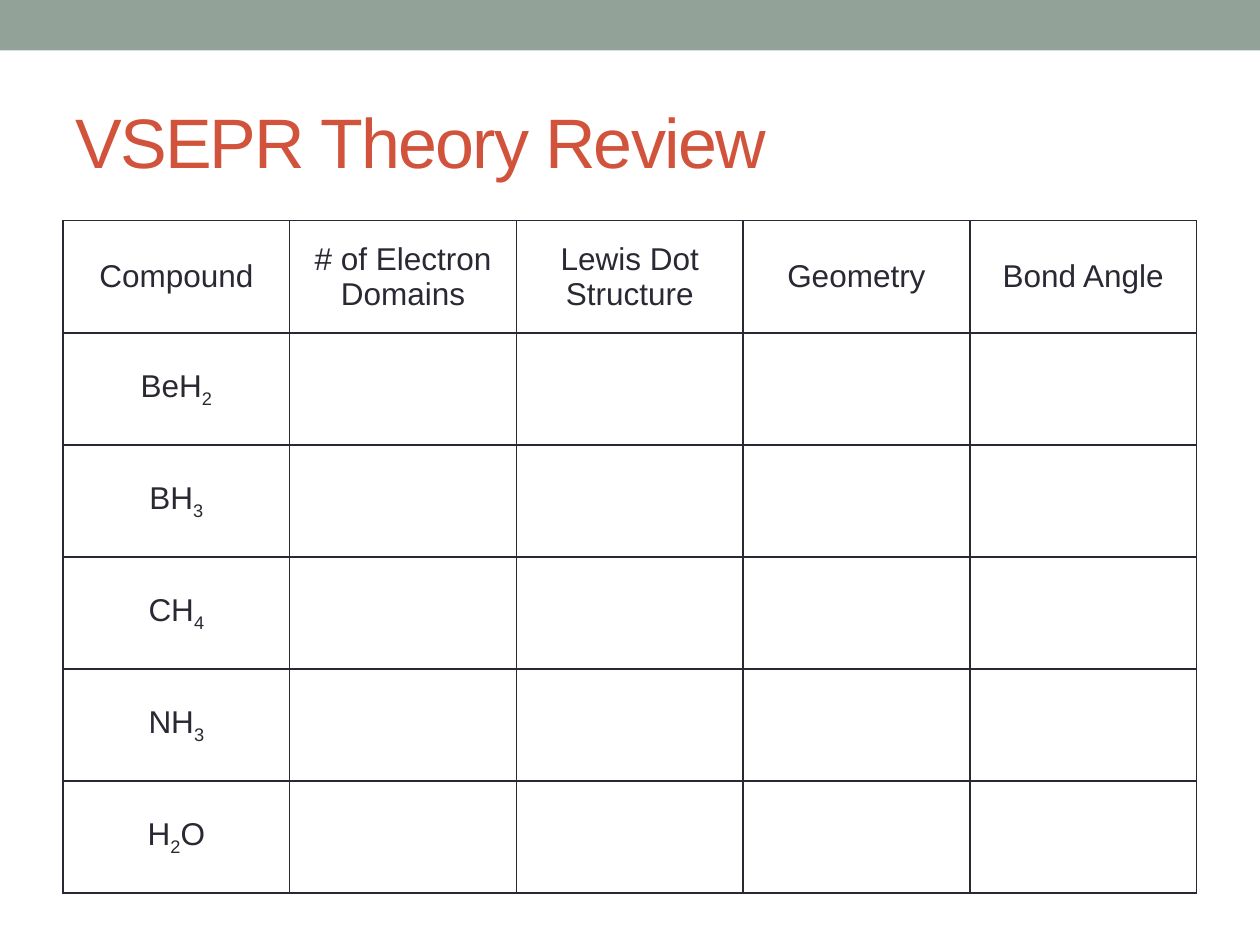
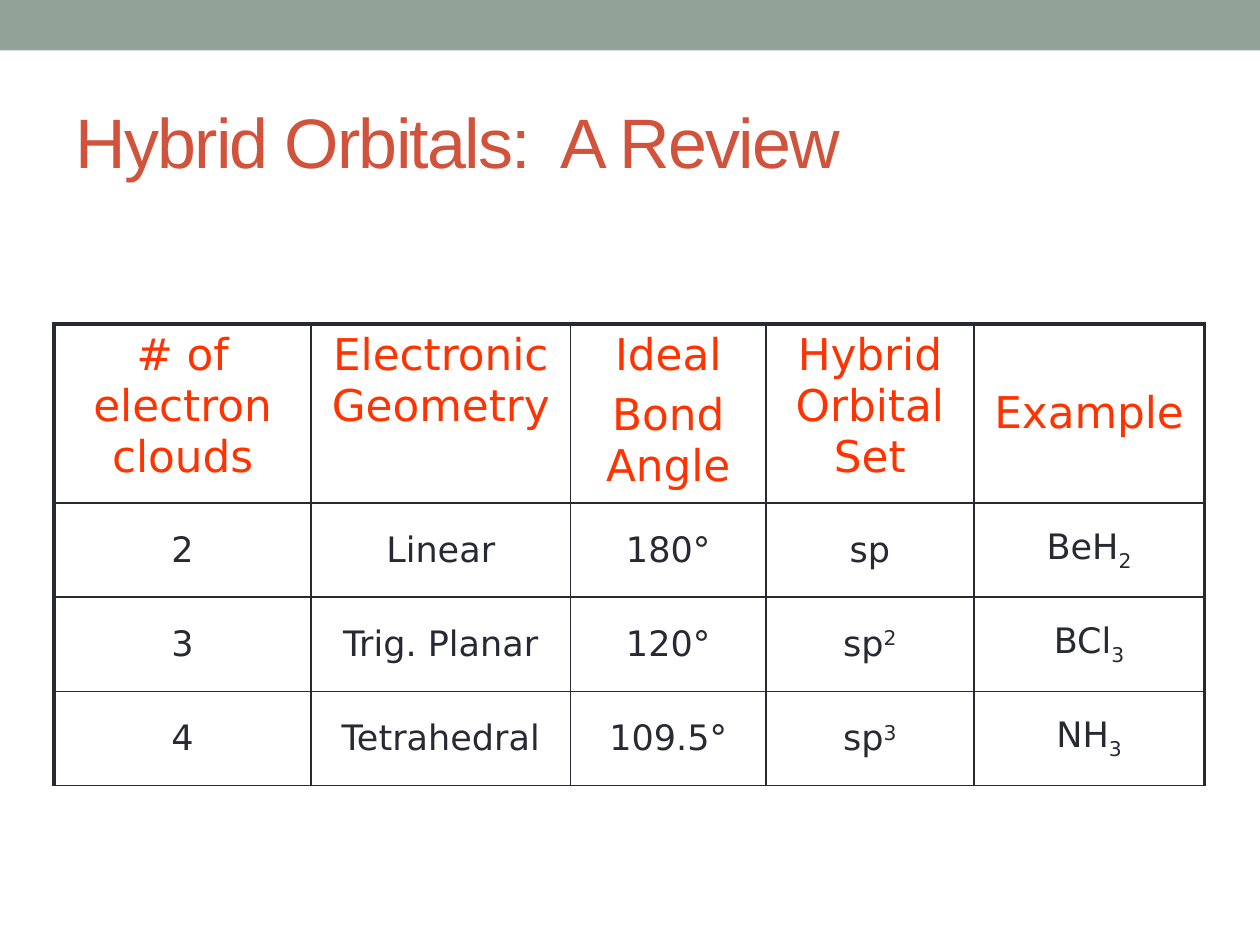
"""Build two chemistry review slides with a titled table on each."""
from lxml.etree import SubElement
from pptx import Presentation
from pptx.dml.color import RGBColor
from pptx.enum.shapes import MSO_SHAPE
from pptx.enum.text import MSO_ANCHOR, PP_ALIGN
from pptx.oxml.ns import qn
from pptx.util import Cm, Pt

THEME = {
    "band": RGBColor.from_string("93A299"),
    "title": {"name": "Arial", "size": Pt(40), "rgb": RGBColor.from_string("D2533C")},
    "plain": {"name": "Arial", "size": Pt(18), "rgb": RGBColor.from_string("292934")},
    "heading": {"name": "DejaVu Sans", "size": Pt(25), "rgb": RGBColor.from_string("FF3300")},
    "body": {"name": "DejaVu Sans", "size": Pt(20), "rgb": RGBColor.from_string("292934")},
    "border": "292934",
    "thin": Pt(1),
    "thick": Pt(2.25),
    "paragraph_gap": Pt(5),
}
BASELINES = {"_": "-25000", "^": "30000"}

REVIEWS = [
    {
        "title": "VSEPR Theory Review",
        "left": 1.27, "top": 4.45,
        "columns": [4.57] * 5, "rows": [2.26] * 6,
        "heading": "plain", "body": "plain",
        "outer": {},
        "top_anchored": 0,
        "cells": [
            ["Compound", "# of Electron Domains", "Lewis Dot Structure", "Geometry", "Bond Angle"],
            ["BeH_2"], ["BH_3"], ["CH_4"], ["NH_3"], ["H_2_O"],
        ],
    },
    {
        "title": "Hybrid Orbitals:  A Review",
        "left": 1.09, "top": 6.53,
        "columns": [5.18, 5.23, 3.94, 4.19, 4.65], "rows": [3.5] + [1.9] * 3,
        "heading": "heading", "body": "body",
        "outer": {side: THEME["thick"] for side in ("lnL", "lnR", "lnT")},
        "top_anchored": 4,
        "cells": [
            ["# of electron clouds", "Electronic Geometry", "Ideal\nBond Angle",
             "Hybrid Orbital Set", "Example"],
            ["2", "Linear", "180°", "sp", "BeH_2"],
            ["3", "Trig. Planar", "120°", "sp^2", "BCl_3"],
            ["4", "Tetrahedral", "109.5°", "sp^3", "NH_3"],
        ],
    },
]


def assign(target, values):
    for name, value in values.items():
        setattr(target, name, value)


def write(frame, text, style, alignment):
    for index, line in enumerate(text.split("\n")):
        para = frame.add_paragraph() if index else frame.paragraphs[0]
        para.alignment = alignment
        if index:
            para.space_before = THEME["paragraph_gap"]
        mark = "^" if "^" in line else "_"
        for position, piece in enumerate(filter(None, line.split(mark))):
            span = para.add_run()
            span.text = piece
            assign(span.font, {key: style[key] for key in ("name", "size")})
            span.font.color.rgb = style["rgb"]
            if position % 2:
                span.font._element.set("baseline", BASELINES[mark])


deck = Presentation()
assign(deck, {"slide_width": Cm(25.4), "slide_height": Cm(19.05)})

for review in REVIEWS:
    page = deck.slides.add_slide(deck.slide_layouts[6])

    band = page.shapes.add_shape(MSO_SHAPE.RECTANGLE, 0, 0, deck.slide_width, Cm(1.02))
    band.shadow.inherit = False
    band.fill.solid()
    band.fill.fore_color.rgb = THEME["band"]
    band.line.fill.background()

    box = page.shapes.add_textbox(Cm(1.27), Cm(1.47), Cm(22.86), Cm(2.74))
    assign(box.text_frame, {"word_wrap": True, "vertical_anchor": MSO_ANCHOR.MIDDLE})
    write(box.text_frame, review["title"], THEME["title"], PP_ALIGN.LEFT)
    box.text_frame.paragraphs[0].runs[0].font._element.set("spc", "-100")

    columns, rows = review["columns"], review["rows"]
    table = page.shapes.add_table(
        len(rows), len(columns), Cm(review["left"]), Cm(review["top"]),
        Cm(sum(columns)), Cm(sum(rows))).table
    assign(table, {"first_row": False, "horz_banding": False})
    for column, width in zip(table.columns, columns):
        column.width = Cm(width)
    for row, height in zip(table.rows, rows):
        row.height = Cm(height)

    for row_index in range(len(rows)):
        texts = review["cells"][row_index]
        style = THEME[review["body" if row_index else "heading"]]
        for column_index in range(len(columns)):
            cell = table.cell(row_index, column_index)
            cell.fill.background()
            at_top = row_index == 0 and column_index < review["top_anchored"]
            cell.vertical_anchor = MSO_ANCHOR.TOP if at_top else MSO_ANCHOR.MIDDLE
            if column_index < len(texts):
                write(cell.text_frame, texts[column_index], style, PP_ALIGN.CENTER)

            on_edge = {
                "lnL": column_index == 0,
                "lnR": column_index == len(columns) - 1,
                "lnT": row_index == 0,
                "lnB": row_index == len(rows) - 1,
            }
            properties = cell._tc.get_or_add_tcPr()
            for order, (side, is_outer) in enumerate(on_edge.items()):
                width = review["outer"].get(side, THEME["thin"]) if is_outer else THEME["thin"]
                line = SubElement(properties, qn(f"a:{side}"), w=str(int(width)))
                fill = SubElement(line, qn("a:solidFill"))
                SubElement(fill, qn("a:srgbClr"), val=THEME["border"])
                properties.insert(order, line)

deck.save("out.pptx")
